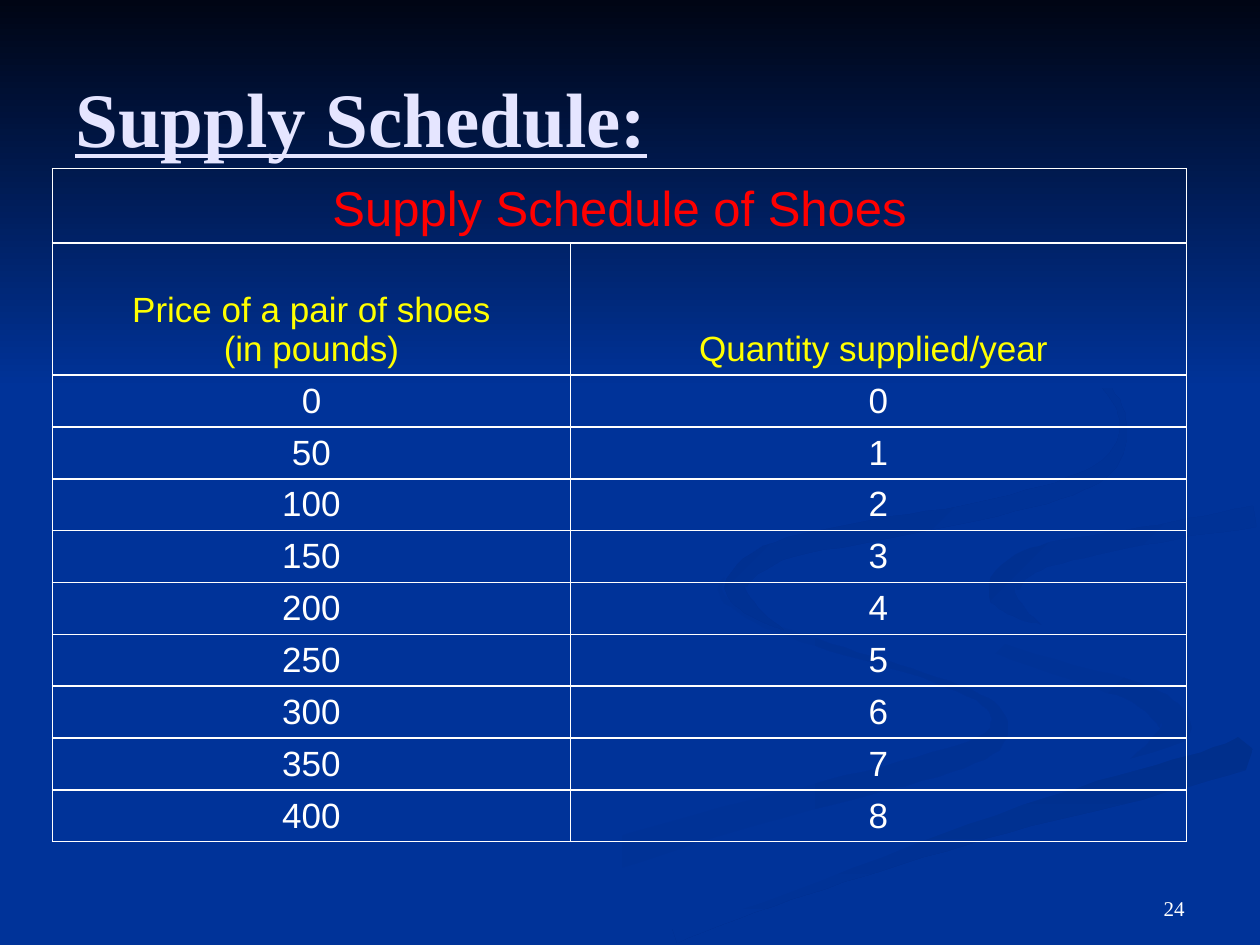
from itertools import pairwise
from math import hypot

from lxml.etree import SubElement
from pptx import Presentation
from pptx.dml.color import RGBColor
from pptx.enum.shapes import MSO_SHAPE as Shape
from pptx.enum.text import MSO_ANCHOR as Anchor, PP_ALIGN as Align
from pptx.oxml.ns import qn
from pptx.util import Pt

BLUE = RGBColor(0x00, 0x33, 0x99)
NIGHT = RGBColor(0x00, 0x05, 0x14)
SHADE_OUTER = RGBColor(0x00, 0x31, 0x93)
SHADE_RIGHT = RGBColor(0x00, 0x30, 0x91)
SHADE_UPPER = RGBColor(0x00, 0x2F, 0x8E)
SHADE_LOWER = RGBColor(0x00, 0x2F, 0x8C)
LAVENDER = RGBColor(0xE5, 0xE5, 0xFF)
WHITE = RGBColor(0xFF, 0xFF, 0xFF)
RED = RGBColor(0xFF, 0x00, 0x00)
YELLOW = RGBColor(0xFF, 0xFF, 0x00)
SERIF, SANS = "Times New Roman", "Arial"

SLIDE_WIDTH, SLIDE_HEIGHT = 720, 540
STEPS_PER_KNOT = 6
LEFT_SWIRL = [(414, 330, 0), (413, 341, 3), (438, 357, 4), (482, 372, 4),
              (528, 386, 3), (563, 401, 5), (571, 415, 10), (560, 428, 13),
              (516, 442, 14), (447, 460, 14), (345, 490, 18), (245, 530, 20)]
RIGHT_SWIRL = [(521, 334, 0), (525, 346, 3), (548, 362, 5), (612, 384, 9),
               (650, 396, 12), (669, 410, 17), (669, 421, 16), (644, 436, 0)]
LOWER_SWEEP = [(385, 533, 12), (440, 511, 14), (501, 490, 16),
               (574, 467, 18), (650, 447, 20), (716, 428, 20)]
MAIN_RIBBON = [(717, 284, 10), (662, 293, 9), (613, 301, 11), (562, 314, 16),
               (543, 334, 36), (563, 352, 18), (611, 369, 14), (668, 388, 16),
               (700, 404, 34), (684, 425, 10), (626, 443, 7), (535, 471, 13),
               (436, 508, 14), (355, 534, 10)]
RIGHT_CURL = [(717, 295, 12), (672, 303, 10), (618, 313, 12), (588, 321, 14),
              (573, 336, 17), (579, 347, 10), (595, 357, 0)]
UPPER_CURL = [(549, 168, 0), (581, 183, 2), (608, 199, 3), (633, 222, 4),
              (642, 243, 4), (635, 264, 8), (611, 278, 10), (560, 292, 10),
              (500, 303, 12), (445, 315, 12), (421, 333, 12), (428, 347, 8),
              (448, 360, 0)]
RIBBONS = [
    (LEFT_SWIRL, BLUE, SHADE_OUTER, 0),
    (RIGHT_SWIRL, BLUE, SHADE_OUTER, 45),
    (LOWER_SWEEP, SHADE_LOWER, BLUE, 90),
    (MAIN_RIBBON, BLUE, BLUE, 0),
    (RIGHT_CURL, SHADE_RIGHT, BLUE, 45),
    (UPPER_CURL, SHADE_UPPER, BLUE, 45),
]

TABLE_LEFT, TABLE_TOP = 30, 96.3
COLUMN_WIDTHS = (296, 352)
PRICE_STEP, QUANTITIES = 50, range(9)
ROW_HEIGHTS = [42.5, 75.6] + [26.6] * len(QUANTITIES)
DATA_MARGIN_TOP = 2
HANGING = 27.4


def smooth(knots):
    """Return points on a Catmull-Rom curve through (x, y, width) knots."""
    padded = [knots[0], *knots, knots[-1]]
    curve = []
    for before, start, end, after in zip(padded, padded[1:], padded[2:], padded[3:]):
        for step in range(STEPS_PER_KNOT):
            t = step / STEPS_PER_KNOT
            curve.append(tuple(
                b + t / 2 * (c - a + t * (2 * a - 5 * b + 4 * c - d
                                          + t * (3 * b - a - 3 * c + d)))
                for a, b, c, d in zip(before, start, end, after)))
    return curve + [knots[-1]]


def ribbon_outline(knots):
    """Return the two edges around a smoothed centre line as one loop."""
    near_edge, far_edge = [], []
    for (x, y, width), (next_x, next_y, _) in pairwise(smooth(knots)):
        run, rise = next_x - x, next_y - y
        half = max(width, 0) / 2 / hypot(run, rise)
        near_edge.append((x - rise * half, y + run * half))
        far_edge.append((x + rise * half, y - run * half))
    return near_edge + [knots[-1][:2]] + far_edge[::-1]


def paint(shape, start, end, clockwise):
    """Fill a shape with one colour or a linear blend, without outline or shadow."""
    shape.shadow.inherit = False
    shape.line.fill.background()
    if start == end:
        shape.fill.solid()
        shape.fill.fore_color.rgb = start
        return
    shape.fill.gradient()
    shape.fill.gradient_angle = -clockwise % 360
    for stop, colour in zip(shape.fill.gradient_stops, (start, end)):
        stop.color.rgb = colour


def add_ribbon(slide, knots, start, end, clockwise):
    """Draw one curved background ribbon."""
    first, *others = ribbon_outline(knots)
    builder = slide.shapes.build_freeform(*first, scale=Pt(1))
    builder.add_line_segments(others, close=True)
    paint(builder.convert_to_shape(), start, end, clockwise)


def write(frame, text, size, colour, font=SANS, align=Align.LEFT, bold=False,
          underline=False, hanging=0):
    """Write the lines of text as paragraphs in one format."""
    for position, line in enumerate(text.split("\n")):
        paragraph = frame.add_paragraph() if position else frame.paragraphs[0]
        paragraph.alignment = align
        if hanging:
            properties = paragraph._p.get_or_add_pPr()
            properties.set("marL", str(Pt(hanging)))
            properties.set("indent", str(-Pt(hanging)))
        run = paragraph.add_run()
        run.text = line
        run.font.name, run.font.size = font, Pt(size)
        run.font.bold, run.font.underline = bold, underline
        run.font.color.rgb = colour


def add_label(slide, text, left, top, width, height, anchor, **look):
    """Add a wrapped text box."""
    box = slide.shapes.add_textbox(Pt(left), Pt(top), Pt(width), Pt(height))
    box.text_frame.word_wrap = True
    box.text_frame.vertical_anchor = anchor
    write(box.text_frame, text, font=SERIF, **look)


def style_cell(cell):
    """Give a cell thin white borders and no fill."""
    properties = cell._tc.get_or_add_tcPr()
    for side in ("lnL", "lnR", "lnT", "lnB"):
        border = SubElement(properties, qn(f"a:{side}"), w=str(Pt(1)))
        solid = SubElement(border, qn("a:solidFill"))
        SubElement(solid, qn("a:srgbClr"), val=str(WHITE))
    cell.fill.background()
    cell.vertical_anchor = Anchor.BOTTOM


def add_schedule(slide):
    """Add the table of prices and quantities supplied."""
    schedule = slide.shapes.add_table(
        len(ROW_HEIGHTS), len(COLUMN_WIDTHS), Pt(TABLE_LEFT), Pt(TABLE_TOP),
        Pt(sum(COLUMN_WIDTHS)), Pt(sum(ROW_HEIGHTS))).table
    schedule.first_row = schedule.horz_banding = False
    for column, width in zip(schedule.columns, COLUMN_WIDTHS):
        column.width = Pt(width)
    for row, height in zip(schedule.rows, ROW_HEIGHTS):
        row.height = Pt(height)
    for cell in schedule.iter_cells():
        style_cell(cell)
    schedule.cell(0, 0).merge(schedule.cell(0, 1))

    headings = [
        (("Supply Schedule of Shoes",), 28, RED),
        (("Price of a pair of shoes\n(in pounds)", "Quantity supplied/year "), 20, YELLOW),
    ]
    supplies = [((str(PRICE_STEP * quantity), str(quantity)), 20, WHITE)
                for quantity in QUANTITIES]
    for row, (texts, size, colour) in enumerate(headings + supplies):
        for column, text in enumerate(texts):
            cell = schedule.cell(row, column)
            if row >= len(headings):
                cell.margin_top = Pt(DATA_MARGIN_TOP)
            write(cell.text_frame, text, size, colour,
                  align=Align.CENTER, hanging=HANGING)


def add_backdrop(slide):
    """Lay the blue ground, the ribbons and the night sky."""
    slide.background.fill.solid()
    slide.background.fill.fore_color.rgb = BLUE
    for ribbon in RIBBONS:
        add_ribbon(slide, *ribbon)
    sky = slide.shapes.add_shape(Shape.RECTANGLE, Pt(0), Pt(0), Pt(SLIDE_WIDTH), Pt(222))
    paint(sky, NIGHT, BLUE, 90)


def main():
    """Build the supply schedule slide."""
    deck = Presentation()
    deck.slide_width, deck.slide_height = Pt(SLIDE_WIDTH), Pt(SLIDE_HEIGHT)
    slide = deck.slides.add_slide(deck.slide_layouts[6])
    add_backdrop(slide)
    add_label(slide, "Supply Schedule:", 36, 21.6, 648, 90, Anchor.MIDDLE,
              size=44, colour=LAVENDER, bold=True, underline=True)
    add_schedule(slide)
    add_label(slide, "24", 516, 492, 168, 37.5, Anchor.BOTTOM,
              size=12, colour=WHITE, align=Align.RIGHT)
    deck.save("out.pptx")


if __name__ == "__main__":
    main()
